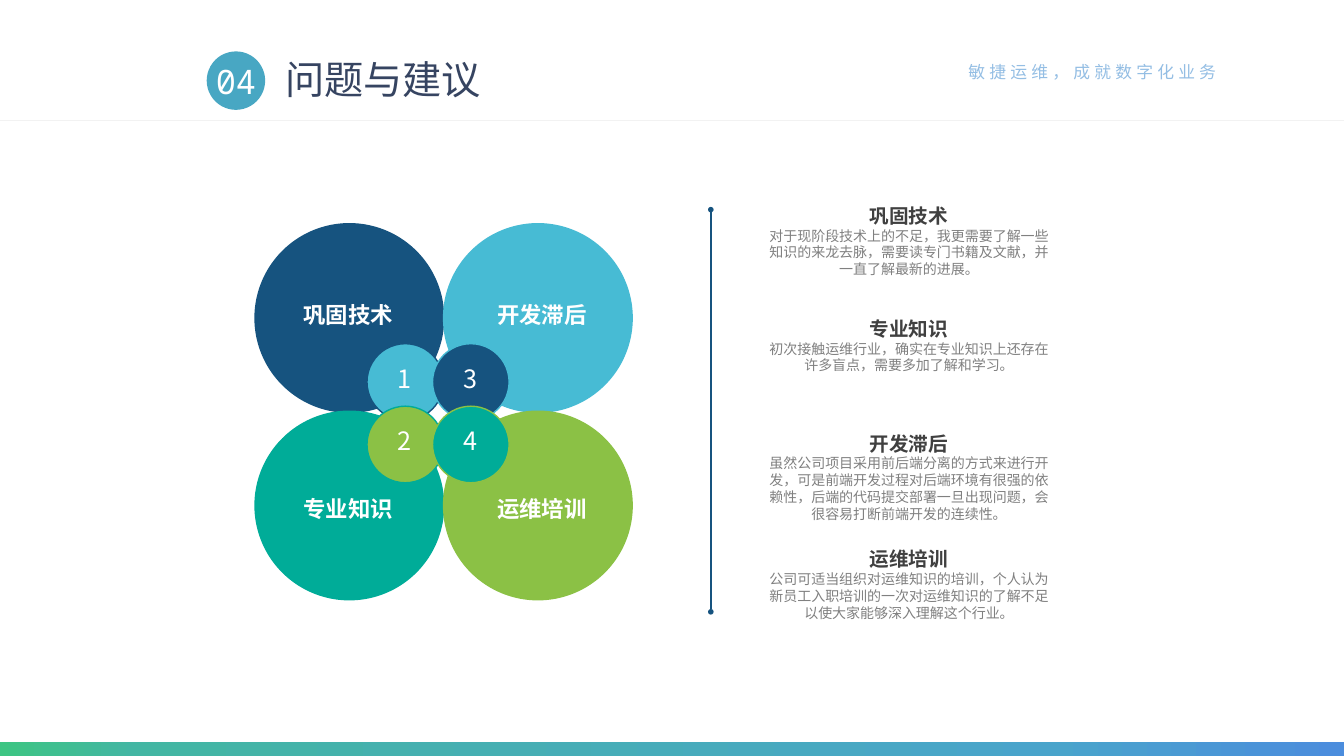
"""Build the slide on problems and suggestions: four numbered circles and their notes."""
from lxml import etree
from pptx import Presentation
from pptx.dml.color import RGBColor
from pptx.enum.shapes import MSO_CONNECTOR, MSO_SHAPE
from pptx.enum.text import MSO_ANCHOR, MSO_AUTO_SIZE, PP_ALIGN
from pptx.oxml.ns import qn
from pptx.util import Inches, Pt

CJK = "Noto Sans CJK SC"
NAVY, SKY, TEAL, GREEN, WHITE = "16537F", "47BBD4", "00AC98", "8BC145", "FFFFFF"
TITLE = "问题与建议"
TAGLINE = "敏捷运维，成就数字化业务"
SECTION = "04"

# number, label, large circle, small circle; listed row by row
PETALS = [
    ("1", "巩固技术", NAVY, SKY),
    ("3", "开发滞后", SKY, NAVY),
    ("2", "专业知识", TEAL, GREEN),
    ("4", "运维培训", GREEN, TEAL),
]
NOTES = [
    (2.02, 0.74, "巩固技术", "对于现阶段技术上的不足，我更需要了解一些知识的来龙去脉，"
     "需要读专门书籍及文献，并一直了解最新的进展。"),
    (3.14, 0.57, "专业知识", "初次接触运维行业，确实在专业知识上还存在许多盲点，"
     "需要多加了解和学习。"),
    (4.28, 0.91, "开发滞后", "虽然公司项目采用前后端分离的方式来进行开发，"
     "可是前端开发过程对后端环境有很强的依赖性，"
     "后端的代码提交部署一旦出现问题，会很容易打断前端开发的连续性。"),
    (5.43, 0.74, "运维培训", "公司可适当组织对运维知识的培训，"
     "个人认为新员工入职培训的一次对运维知识的了解不足以使大家能够深入理解这个行业。"),
]
BAR_STOPS = [(0, "3DC583"), (10, "43B6A3"), (78, "49A4CB"), (100, "4B8DDD")]


def rgb(value):
    return RGBColor.from_string(value)


def style(p, size, color, font=CJK, bold=False, align=PP_ALIGN.CENTER):
    p.alignment = align
    for r in p.runs:
        r.font.size, r.font.bold, r.font.name = Pt(size), bold, font
        r.font.color.rgb = rgb(color)
        etree.SubElement(r.font._element, qn("a:ea")).set("typeface", CJK)


def add_text(s, box, lines, wrap=True, inset=(0, 0)):
    tf = s.shapes.add_textbox(*map(Inches, box)).text_frame
    tf.word_wrap = wrap
    tf.margin_left = tf.margin_right = Inches(inset[0])
    tf.margin_top = tf.margin_bottom = Inches(inset[1])
    for i, (text, size, color, font, bold) in enumerate(lines):
        p = tf.add_paragraph() if i else tf.paragraphs[0]
        p.text = text
        style(p, size, color, font, bold)
    return tf


def add_shape(s, kind, box, color, line=None):
    sp = s.shapes.add_shape(kind, *map(Inches, box))
    sp.shadow.inherit = False
    sp.fill.solid()
    sp.fill.fore_color.rgb = rgb(color)
    if line:
        sp.line.color.rgb = rgb(line)
        sp.line.width = Pt(1)
    else:
        sp.line.fill.background()
    return sp


def add_line(s, ends, color, width, dots=False):
    cn = s.shapes.add_connector(MSO_CONNECTOR.STRAIGHT, *map(Inches, ends))
    cn.line.color.rgb = rgb(color)
    cn.line.width = Pt(width)
    if dots:
        for tag in ("a:headEnd", "a:tailEnd"):
            etree.SubElement(cn.line._get_or_add_ln(), qn(tag), type="oval", w="sm", len="sm")
    etree.SubElement(cn._element.spPr, qn("a:effectLst"))


def add_gradient_bar(s):
    sp = add_shape(s, MSO_SHAPE.RECTANGLE, (0, 7.36, 13.33, 0.16), BAR_STOPS[0][1])
    sp.fill.gradient()
    sp.fill.gradient_angle = 0
    stops = sp._element.spPr.find(".//" + qn("a:gsLst"))
    for old in list(stops):
        stops.remove(old)
    for pos, color in BAR_STOPS:
        gs = etree.SubElement(stops, qn("a:gs"), pos=str(pos * 1000))
        etree.SubElement(gs, qn("a:srgbClr"), val=color)


def add_header(s):
    tf = add_text(s, (9.2, 0.56, 3.27, 0.3), [(TAGLINE, 12, "94BEE4", CJK, False)],
                  inset=(0.1, 0.05))
    tf.paragraphs[0].runs[0].font._element.set("spc", "300")
    add_line(s, (0, 1.19, 13.33, 1.19), "F2F2F2", 0.5)

    title = s.shapes.title
    title.left, title.top, title.width, title.height = map(Inches, (2.73, 0.44, 6.19, 0.75))
    tf = title.text_frame
    tf.text = TITLE
    tf.auto_size = MSO_AUTO_SIZE.NONE
    tf.vertical_anchor = MSO_ANCHOR.MIDDLE
    tf.paragraphs[0].line_spacing = 0.9
    style(tf.paragraphs[0], 28, "364461", "Arial", align=PP_ALIGN.LEFT)

    badge = (2.05, 0.51, 0.58, 0.58)
    add_shape(s, MSO_SHAPE.OVAL, badge, "48A7C3")
    tf = add_text(s, badge, [(SECTION, 24, WHITE, "Noto Sans Mono", False)], wrap=False)
    tf.vertical_anchor = MSO_ANCHOR.MIDDLE


def add_petals(s):
    cells = [(i % 2, i // 2, *petal) for i, petal in enumerate(PETALS)]
    for col, row, _, _, large, _ in cells:
        add_shape(s, MSO_SHAPE.OVAL, (2.53 + 1.87 * col, 2.22 + 1.86 * row, 1.87, 1.87),
                  large, large)
    for col, row, _, _, large, small in cells:
        add_shape(s, MSO_SHAPE.OVAL, (3.64 + 0.65 * col, 3.41 + 0.62 * row, 0.76, 0.76),
                  small, large)
    for col, row, number, label, _, _ in cells:
        add_text(s, (3.8 + 0.66 * col, 3.53 + 0.62 * row, 0.42, 0.44),
                 [(number, 18, WHITE, CJK, False)], wrap=False, inset=(0.13, 0.07))
        add_text(s, (2.87 + 1.92 * col, 2.92 + 1.92 * row, 1.17, 0.4),
                 [(label, 16, WHITE, CJK, True)], wrap=False, inset=(0.13, 0.07))


def main():
    prs = Presentation()
    prs.slide_width, prs.slide_height = Inches(13.33), Inches(7.5)
    s = prs.slides.add_slide(prs.slide_layouts[5])
    add_header(s)
    add_gradient_bar(s)
    add_petals(s)
    for top, height, heading, body in NOTES:
        add_text(s, (7.57, top, 2.89, height),
                 [(heading, 14, "404040", CJK, True), (body, 10, "808080", CJK, False)])
    add_line(s, (7.05, 2.08, 7.05, 6.07), NAVY, 1, dots=True)
    prs.save("out.pptx")


if __name__ == "__main__":
    main()
